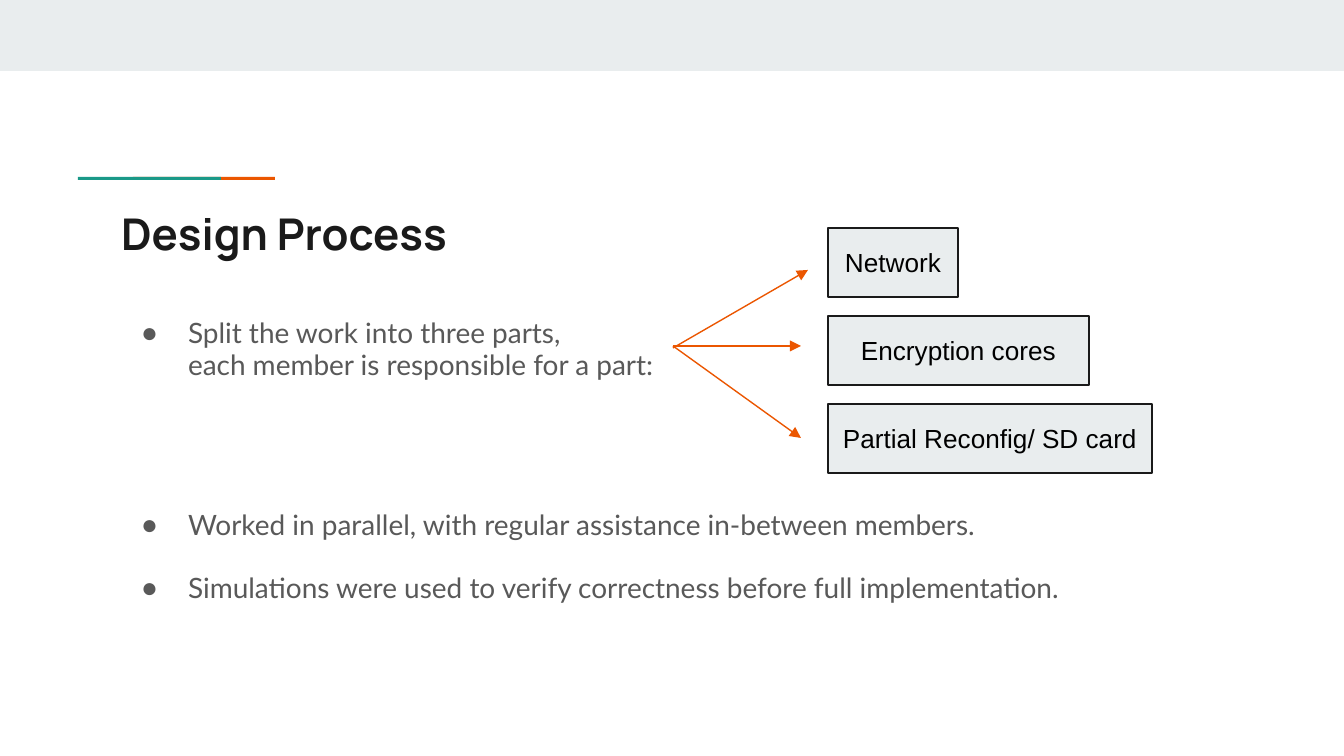
from lxml.etree import SubElement
from pptx import Presentation
from pptx.dml.color import RGBColor
from pptx.enum.shapes import MSO_CONNECTOR, MSO_SHAPE
from pptx.enum.text import MSO_ANCHOR, MSO_AUTO_SIZE, PP_ALIGN
from pptx.oxml.ns import qn
from pptx.util import Pt

WIDE, HIGH = 1344, 756
SCALE = 9144000 / WIDE
LINE = 17.1

PALE = RGBColor(0xE9, 0xED, 0xEE)
ORANGE = RGBColor(0xEB, 0x56, 0x00)
TEAL = RGBColor(0x1A, 0x99, 0x88)
INK = RGBColor(0x1A, 0x1A, 0x1A)
GREY = RGBColor(0x59, 0x59, 0x59)
BLACK = RGBColor(0, 0, 0)


def px(num):
    """Turn px into EMU."""
    return round(num * SCALE)


class Deck:
    """Hold the style and the current slide."""

    def __init__(self):
        """Start a deck with one title and body slide."""
        self.file = Presentation()
        self.file.slide_width, self.file.slide_height = px(WIDE), px(HIGH)
        self.slide = self.file.slides.add_slide(self.file.slide_layouts[1])
        self.shapes = self.slide.shapes

    def frame(self, shape, anchor):
        """Set up the text frame of a shape."""
        frame = shape.text_frame
        frame.word_wrap = True
        frame.auto_size = MSO_AUTO_SIZE.NONE
        frame.vertical_anchor = anchor
        frame.margin_left = frame.margin_right = px(13)
        frame.margin_top = frame.margin_bottom = px(13)
        return frame

    def place(self, shape, x, y, w, h):
        """Move and size a shape."""
        shape.left, shape.top, shape.width, shape.height = map(px, (x, y, w, h))

    def run(self, para, text, face, size, color, bold=False):
        """Add one styled run."""
        run = para.add_run()
        run.text = text
        font = run.font
        font.name, font.size, font.bold = face, Pt(size), bold
        font.color.rgb = color

    def title(self, text, *area):
        """Fill the title."""
        shape = self.shapes.title
        self.place(shape, *area)
        para = self.frame(shape, MSO_ANCHOR.MIDDLE).paragraphs[0]
        para.alignment = PP_ALIGN.LEFT
        self.run(para, text, "Manrope", 23.4, INK, True)

    def body(self, items, *area):
        """Fill the list from pairs of gap and lines."""
        shape = self.slide.placeholders[1]
        self.place(shape, *area)
        frame = self.frame(shape, MSO_ANCHOR.TOP)
        for i, (gap, lines) in enumerate(items):
            para = frame.add_paragraph() if i else frame.paragraphs[0]
            para.line_spacing = 0.95
            para.space_before = Pt(gap * LINE)
            para.space_after = Pt(0)
            self.bullet(para)
            for j, line in enumerate(lines):
                if j:
                    para.add_line_break()
                self.run(para, line, "Lato", 15, GREY)

    def bullet(self, para):
        """Give a paragraph a grey dot and a hanging indent."""
        props = para._p.get_or_add_pPr()
        props.set("marL", str(px(67)))
        props.set("indent", str(px(-47)))
        tint = SubElement(props, qn("a:buClr"))
        SubElement(tint, qn("a:srgbClr")).set("val", str(GREY))
        SubElement(props, qn("a:buChar")).set("char", "●")

    def bar(self, color, *area):
        """Draw a plain filled bar."""
        shape = self.shapes.add_shape(MSO_SHAPE.RECTANGLE, *map(px, area))
        shape.shadow.inherit = False
        shape.fill.solid()
        shape.fill.fore_color.rgb = color
        shape.line.fill.background()
        return shape

    def box(self, text, *area):
        """Draw an outlined box with a centred label."""
        shape = self.bar(PALE, *area)
        shape.line.color.rgb = INK
        shape.line.width = Pt(0.75)
        para = self.frame(shape, MSO_ANCHOR.MIDDLE).paragraphs[0]
        para.alignment = PP_ALIGN.CENTER
        self.run(para, text, "Arial", 14, BLACK)

    def arrow(self, *ends):
        """Draw an orange arrow."""
        link = self.shapes.add_connector(MSO_CONNECTOR.STRAIGHT, *map(px, ends))
        link.line.color.rgb = ORANGE
        link.line.width = Pt(0.75)
        SubElement(link.line._get_or_add_ln(), qn("a:tailEnd")).set("type", "triangle")
        SubElement(link._element.spPr, qn("a:effectLst"))


def main():
    """Build the slide."""
    deck = Deck()
    deck.bar(PALE, 0, 0, WIDE, 71)
    deck.bar(ORANGE, 133, 177, 142, 3)
    deck.bar(TEAL, 78, 177, 143, 3)
    deck.title("Design Process", 108, 194, 1130, 79)
    deck.body([
        (0, ["Split the work into three parts,",
             "each member is responsible for a part:"]),
        (4, ["Worked in parallel, with regular assistance in-between members."]),
        (1, ["Simulations were used to verify correctness before full implementation."]),
    ], 108, 305, 1130, 332)
    for y, right, end in [(346, 801, 438), (346, 801, 346), (348, 808, 270)]:
        deck.arrow(673, y, right, end)
    parts = [("Network", 130), ("Encryption cores", 261),
             ("Partial Reconfig/ SD card", 324)]
    for i, (text, wide) in enumerate(parts):
        deck.box(text, 828, 228 + 88 * i, wide, 69)
    deck.file.save("out.pptx")


if __name__ == "__main__":
    main()
